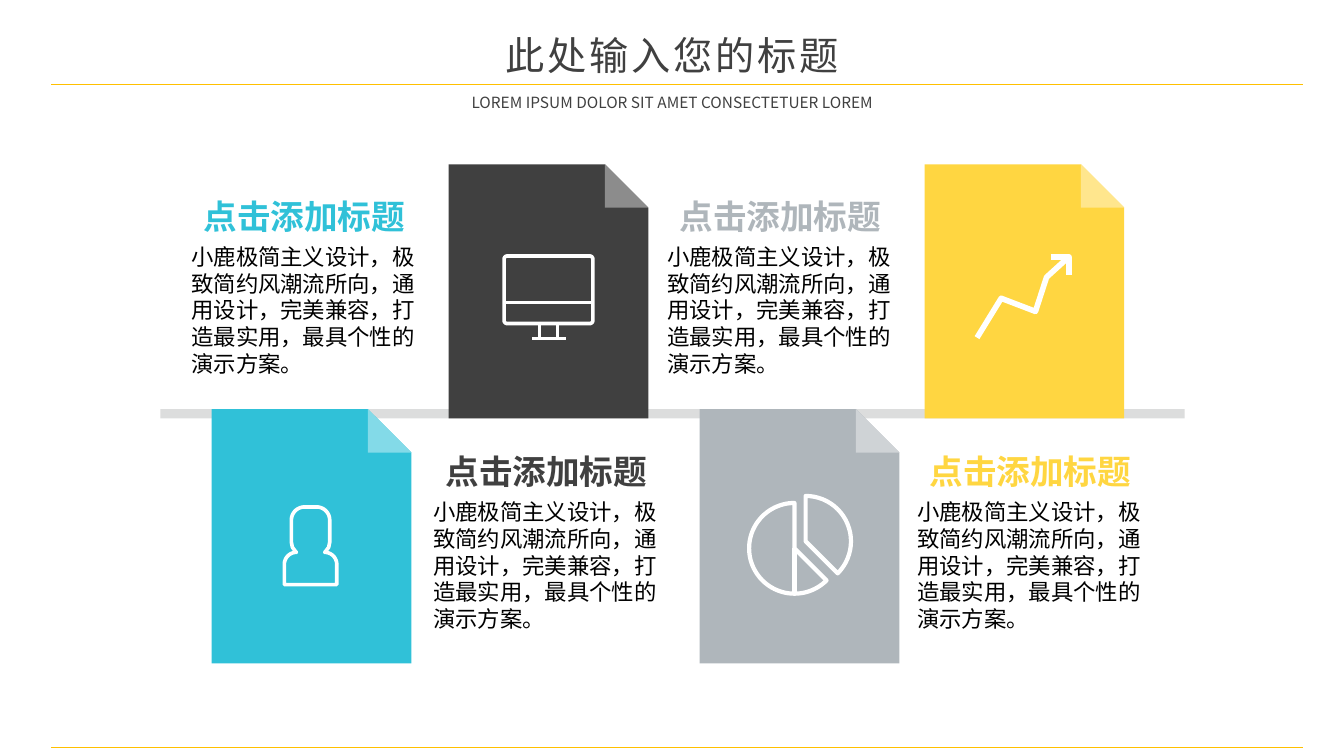
from dataclasses import dataclass
from math import cos, radians, sin

from lxml import etree
from pptx import Presentation
from pptx.dml.color import RGBColor
from pptx.enum.shapes import MSO_CONNECTOR, MSO_SHAPE
from pptx.enum.text import MSO_ANCHOR, MSO_AUTO_SIZE, PP_ALIGN
from pptx.oxml.ns import qn
from pptx.util import Inches, Pt

CENTER, LEFT = PP_ALIGN.CENTER, PP_ALIGN.LEFT
MIDDLE, NO_FIT = MSO_ANCHOR.MIDDLE, MSO_AUTO_SIZE.NONE
RECT, STRAIGHT = MSO_SHAPE.RECTANGLE, MSO_CONNECTOR.STRAIGHT


@dataclass(frozen=True)
class Theme:
    font: str = "Noto Sans CJK SC"
    heading_font: str = "Quicksand"
    title_size: int = 28
    heading_size: int = 24
    body_size: int = 16
    subtitle_size: int = 11
    leading: float = 1.2
    dark: str = "404040"
    black: str = "000000"
    white: str = "FFFFFF"
    gold: str = "FFC000"
    bar: str = "DCDDDD"
    cyan: str = "30C1D8"
    silver: str = "AFB6BB"
    yellow: str = "FFD641"
    cyan_fold: str = "83DAE8"
    dark_fold: str = "8C8C8C"
    silver_fold: str = "CFD3D6"
    yellow_fold: str = "FFE68D"


THEME = Theme()
SLIDE_W, SLIDE_H = 13.33, 7.5
PAGE_W, PAGE_H, FOLD = 1.98, 2.52, 0.43
UPPER_PAGE, LOWER_PAGE = 1.63, 4.06
UPPER_TEXT, LOWER_TEXT = 1.89, 4.42
HEADING = "点击添加标题"
BODY = "小鹿极简主义设计，极致简约风潮流所向，通用设计，完美兼容，打造最实用，最具个性的演示方案。"


def rgb(color):
    return RGBColor.from_string(color)


def format_text(tf, size, color, font=THEME.font, align=LEFT, bold=False):
    p = tf.paragraphs[0]
    p.alignment = align
    p.line_spacing = Pt(size * THEME.leading)
    r = p.runs[0]
    r.font.size = Pt(size)
    r.font.bold = bold
    r.font.name = font
    r.font.color.rgb = rgb(color)
    ea = etree.SubElement(r._r.get_or_add_rPr(), qn("a:ea"))
    ea.set("typeface", font)
    return r


def add_title(s, text):
    sp = s.shapes.title
    sp.left, sp.top, sp.width, sp.height = map(Inches, (4.47, 0.27, 4.39, 0.55))
    tf = sp.text_frame
    tf.text = text
    tf.auto_size = NO_FIT
    tf.vertical_anchor = MIDDLE
    r = format_text(tf, THEME.title_size, THEME.dark, align=CENTER)
    r._r.get_or_add_rPr().set("spc", "200")


def add_text(s, box, text, size, color, wrap=True, **style):
    tf = s.shapes.add_textbox(*map(Inches, box)).text_frame
    tf.word_wrap = wrap
    tf.text = text
    format_text(tf, size, color, **style)


def add_rule(s, y):
    line = s.shapes.add_connector(
        STRAIGHT, Inches(0.51), Inches(y), Inches(SLIDE_W - 0.41), Inches(y))
    line.line.color.rgb = rgb(THEME.gold)
    line.line.width = Pt(0.5)
    etree.SubElement(line._element.spPr, qn("a:effectLst"))


def add_bar(s):
    sp = s.shapes.add_shape(RECT, *map(Inches, (1.59, 4.06, 10.16, 0.09)))
    sp.shadow.inherit = False
    sp.fill.solid()
    sp.fill.fore_color.rgb = rgb(THEME.bar)
    sp.line.fill.background()


def add_outline(s, origin, points, closed):
    vertices = [(Inches(x), Inches(y)) for x, y in points]
    builder = s.shapes.build_freeform(*vertices[0])
    builder.add_line_segments(vertices[1:], close=closed)
    sp = builder.convert_to_shape(*map(Inches, origin))
    sp.shadow.inherit = False
    return sp


def add_area(s, origin, points, color):
    sp = add_outline(s, origin, points, True)
    sp.fill.solid()
    sp.fill.fore_color.rgb = rgb(color)
    sp.line.fill.background()


def add_stroke(s, origin, points, closed=False, width=2.6):
    sp = add_outline(s, origin, points, closed)
    sp.fill.background()
    sp.line.color.rgb = rgb(THEME.white)
    sp.line.width = Pt(width)


def add_page(s, origin, color, fold_color):
    edge = PAGE_W - FOLD
    add_area(s, origin, [(edge, 0), (0, 0), (0, PAGE_H), (PAGE_W, PAGE_H),
                         (PAGE_W, FOLD)], color)
    add_area(s, origin, [(edge, FOLD), (PAGE_W, FOLD), (edge, 0)], fold_color)


def arc(cx, cy, radius, start, end, steps=24):
    angles = [radians(start + (end - start) * i / steps) for i in range(steps + 1)]
    return [(cx + radius * cos(a), cy + radius * sin(a)) for a in angles]


def draw_person(s, origin):
    axis = 0.98
    right = (arc(1.04, 1.1, 0.13, 270, 360)
             + [(1.17, 1.32), (1.16, 1.37), (1.13, 1.41)]
             + arc(1.12, 1.54, 0.12, 270, 360) + [(1.24, 1.74)])
    left = [(2 * axis - x, y) for x, y in reversed(right)]
    add_stroke(s, origin, right + left, True)


def draw_monitor(s, origin):
    left, top, right, bottom, radius = 0.55, 0.91, 1.43, 1.58, 0.03
    corners = [(right - radius, top + radius, 270), (right - radius, bottom - radius, 0),
               (left + radius, bottom - radius, 90), (left + radius, top + radius, 180)]
    frame = [pt for x, y, a in corners for pt in arc(x, y, radius, a, a + 90, 6)]
    add_stroke(s, origin, frame, True)
    add_stroke(s, origin, [(left, 1.37), (right, 1.37)])
    add_stroke(s, origin, [(0.9, bottom), (0.9, 1.73), (1.08, 1.73), (1.08, bottom)])
    add_stroke(s, origin, [(0.83, 1.73), (1.16, 1.73)])


def draw_pie(s, origin):
    hub, slice_tip, radius = (0.94, 1.38), (1.05, 1.31), 0.45
    add_stroke(s, origin, [hub] + arc(*hub, radius, 270, 45, 60), True, 3)
    add_stroke(s, origin, [hub, (hub[0], hub[1] + radius)], width=3)
    add_stroke(s, origin, [slice_tip] + arc(*slice_tip, radius, -90, 45), True, 3)


def draw_trend(s, origin):
    tip = (1.43, 0.92)
    add_stroke(s, origin, [(0.52, 1.72), (0.76, 1.33), (1.1, 1.46), (1.21, 1.12), tip],
               width=4)
    add_stroke(s, origin, [(1.25, 0.92), tip, (1.43, 1.1)], width=4)


def add_caption(s, x, y, color):
    add_text(s, (x, y + 0.47, 2.57, 1.45), BODY, THEME.body_size, THEME.black)
    add_text(s, (x + 0.12, y, 2.22, 0.5), HEADING, THEME.heading_size, color,
             wrap=False, font=THEME.heading_font, bold=True)


def main():
    prs = Presentation()
    prs.slide_width, prs.slide_height = Inches(SLIDE_W), Inches(SLIDE_H)
    s = prs.slides.add_slide(prs.slide_layouts[5])
    add_title(s, "此处输入您的标题")
    add_rule(s, 0.84)
    add_text(s, (4.4, 0.87, 4.54, 0.29), "LOREM IPSUM DOLOR SIT AMET CONSECTETUER LOREM",
             THEME.subtitle_size, THEME.dark, align=CENTER)
    add_rule(s, SLIDE_H - 0.09)
    add_bar(s)
    cards = [
        (2.1, LOWER_PAGE, 1.8, UPPER_TEXT, THEME.cyan, THEME.cyan_fold, draw_person),
        (4.45, UPPER_PAGE, 4.2, LOWER_TEXT, THEME.dark, THEME.dark_fold, draw_monitor),
        (6.94, LOWER_PAGE, 6.52, UPPER_TEXT, THEME.silver, THEME.silver_fold, draw_pie),
        (9.17, UPPER_PAGE, 9.0, LOWER_TEXT, THEME.yellow, THEME.yellow_fold, draw_trend),
    ]
    for page_x, page_y, text_x, text_y, color, fold_color, draw_icon in cards:
        add_page(s, (page_x, page_y), color, fold_color)
        draw_icon(s, (page_x, page_y))
        add_caption(s, text_x, text_y, color)
    prs.save("out.pptx")


if __name__ == "__main__":
    main()
